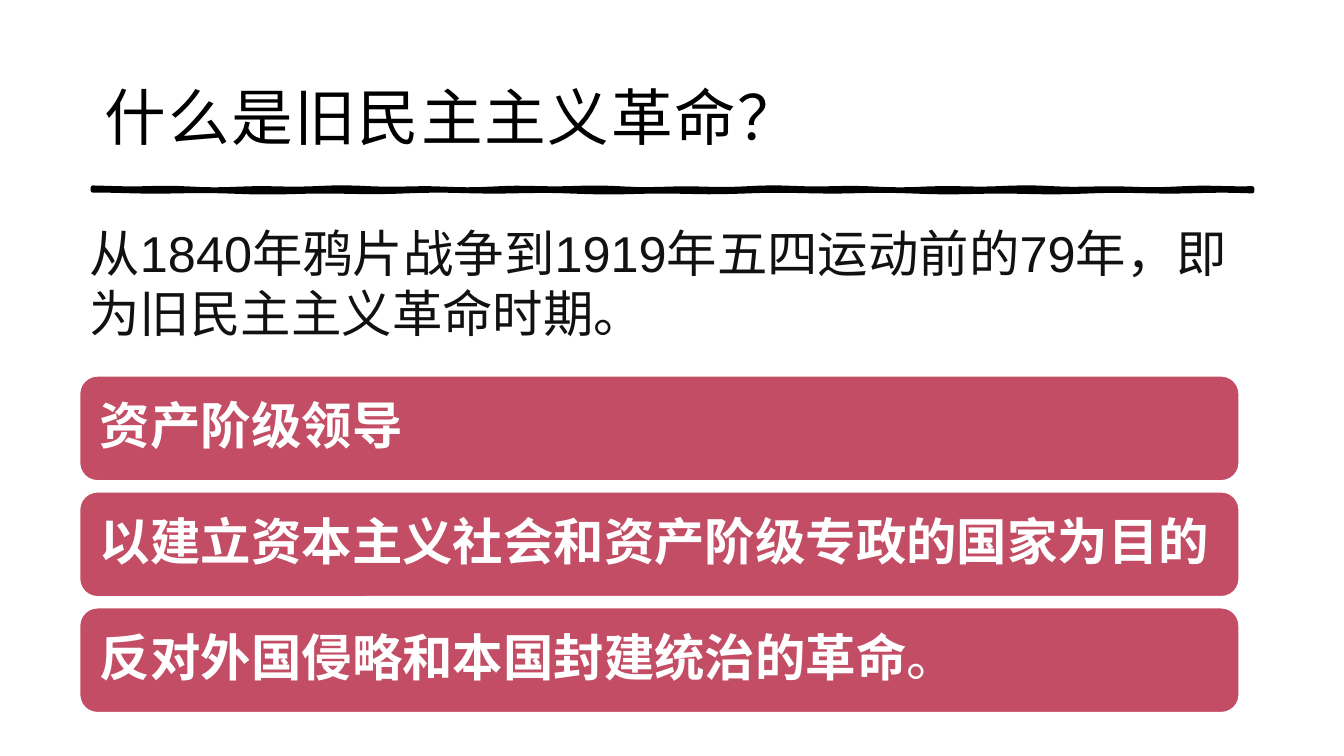
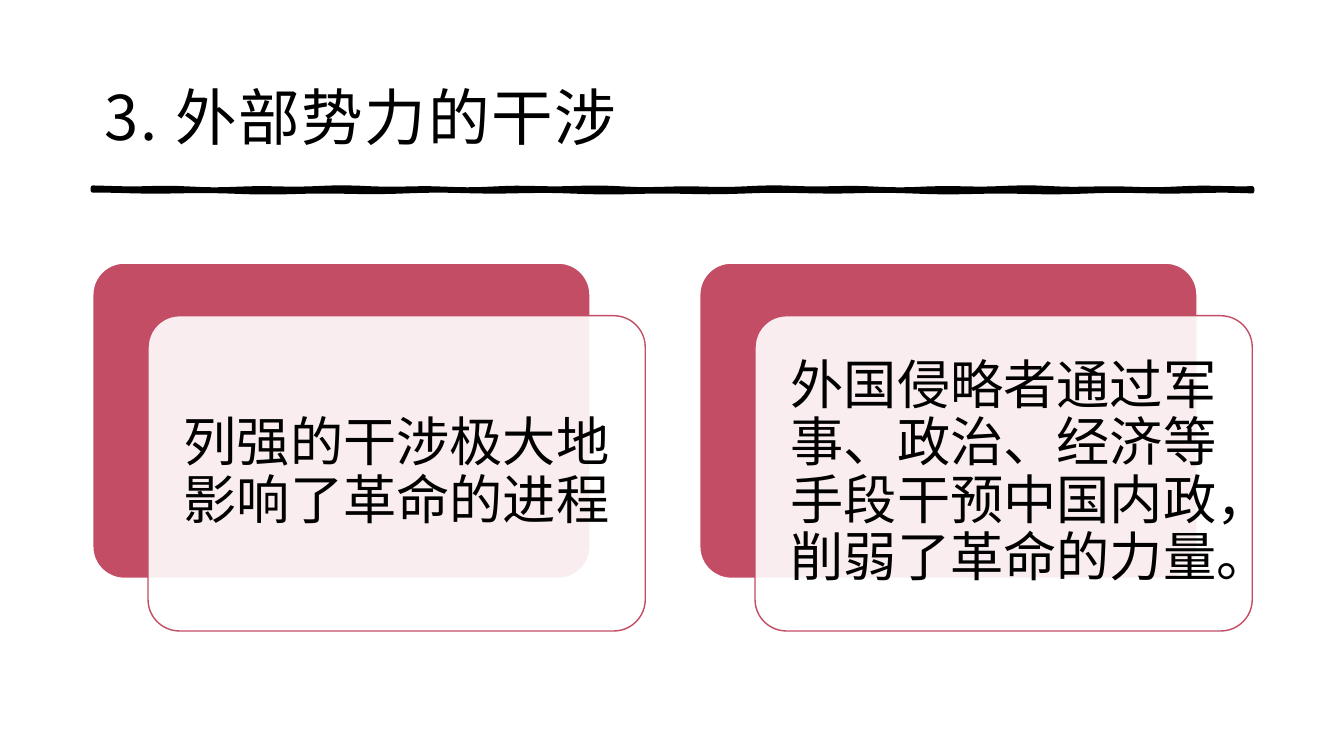
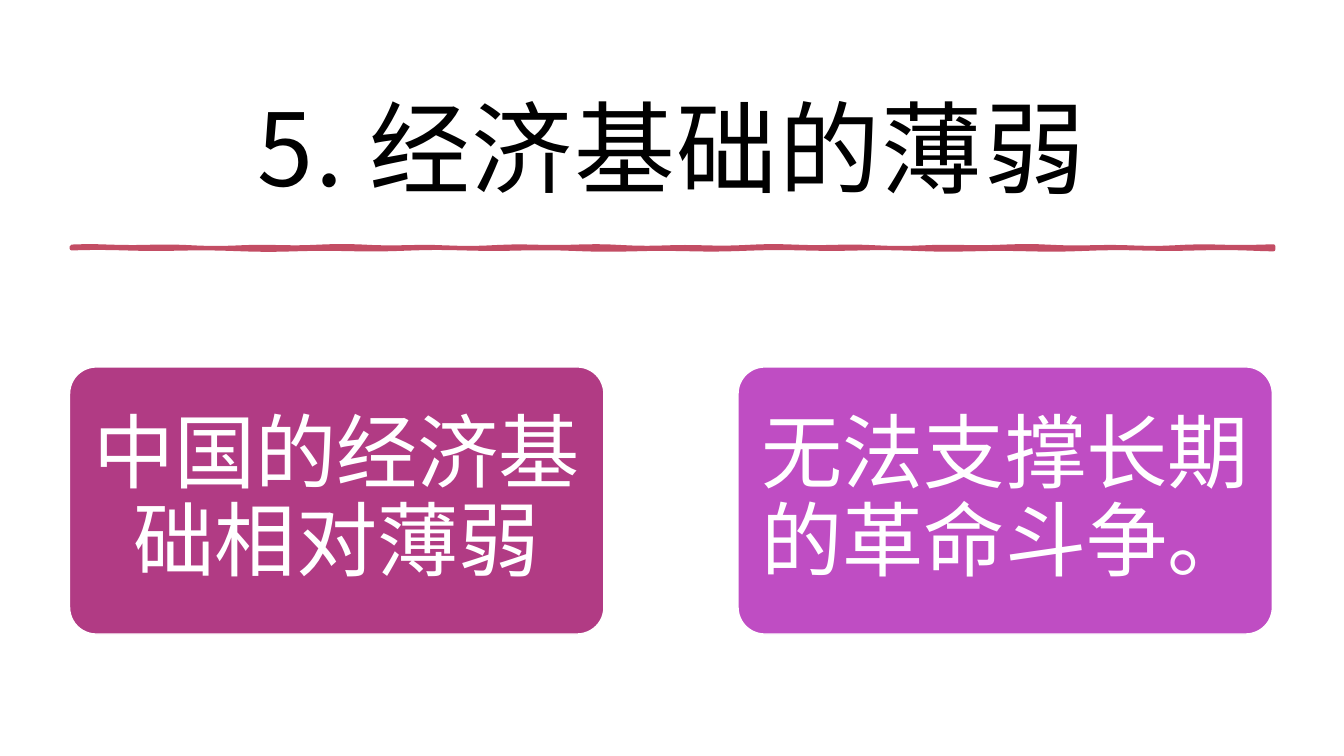
from math import sin

from lxml.etree import SubElement as Sub
from pptx import Presentation
from pptx.dml.color import RGBColor as RGB
from pptx.enum.shapes import MSO_SHAPE as Kind
from pptx.enum.text import MSO_ANCHOR as Anchor, MSO_AUTO_SIZE as Fit, PP_ALIGN as Align
from pptx.oxml.ns import qn
from pptx.util import Inches, Pt

# Shared look
BLACK = RGB(0x00, 0x00, 0x00)
INK = RGB(0x11, 0x11, 0x11)
WHITE = RGB(0xFF, 0xFF, 0xFF)
ROSE = RGB(0xC3, 0x4D, 0x64)
PLUM = RGB(0xB1, 0x3B, 0x84)
VIOLET = RGB(0xBF, 0x4D, 0xC3)
HAN = "Noto Sans CJK SC"
WIDE, HIGH = 13.33, 7.5
HEAD = (0.92, 0.4, 11.5, 1.45)


def place(shape, box):
    shape.left, shape.top, shape.width, shape.height = map(Inches, box)


def split(box, count, gap, down=False):
    """Cut a box into equal cells, side by side or stacked."""
    x, y, w, h = box
    size = ((h if down else w) - gap * (count - 1)) / count
    steps = [i * (size + gap) for i in range(count)]
    if down:
        return [(x, y + s, w, size) for s in steps]
    return [(x + s, y, size, h) for s in steps]


def style(run, size, color, bold=False, face=HAN, space=0):
    font = run.font
    font.name, font.size, font.bold = face, Pt(size), bold
    font.color.rgb = color
    props = run._r.get_or_add_rPr()
    Sub(props, qn("a:ea")).set("typeface", HAN)
    if space:
        props.set("spc", str(round(space * 100)))


def write(frame, text, size, color, align=Align.LEFT, lead=0.9,
          inset=(0.1, 0.05, 0.1, 0.05), anchor=Anchor.MIDDLE, **look):
    frame.word_wrap, frame.auto_size = True, Fit.NONE
    frame.vertical_anchor = anchor
    (frame.margin_left, frame.margin_top,
     frame.margin_right, frame.margin_bottom) = map(Inches, inset)
    para = frame.paragraphs[0]
    para.text, para.alignment, para.line_spacing = text, align, lead
    for run in para.runs:
        style(run, size, color, **look)
    return para


def panel(slide, box, fill, edge=WHITE, curve=0.1, alpha=None):
    """Rounded rectangle, optionally translucent."""
    shape = slide.shapes.add_shape(Kind.ROUNDED_RECTANGLE, *map(Inches, box))
    shape.shadow.inherit = False
    shape.adjustments[0] = curve
    shape.fill.solid()
    shape.fill.fore_color.rgb = fill
    if alpha:
        tint = shape._element.spPr.find(".//" + qn("a:srgbClr"))
        Sub(tint, qn("a:alpha")).set("val", str(alpha * 1000))
    shape.line.color.rgb = edge
    shape.line.width = Pt(1)
    return shape


def stroke(slide, box, color, weight):
    """Hand-drawn rule: a thin band with two uneven edges."""
    x, y, w, h = box
    count = 96
    xs = [x + w * i / count for i in range(count + 1)]
    top = [(a, y + 0.01 * sin(2.3 * a) * sin(5.1 * a)) for a in xs]
    low = [(a, y + h + 0.01 * sin(3.7 * a + 1) * sin(1.9 * a)) for a in xs]
    edge = [(Inches(a), Inches(b)) for a, b in top + low[::-1]]
    pen = slide.shapes.build_freeform(*edge[0])
    pen.add_line_segments(edge[1:], close=True)
    rule = pen.convert_to_shape()
    rule.shadow.inherit = False
    rule.fill.solid()
    rule.fill.fore_color.rgb = color
    rule.line.color.rgb = color
    rule.line.width = Pt(weight)


def start(deck, text, box=HEAD, size=44, align=Align.LEFT,
          rule=(0.92, 1.87, 11.5, 0.03), color=BLACK, weight=3):
    """New slide with its title and the rule below it."""
    slide = deck.slides.add_slide(deck.slide_layouts[5])
    title = slide.shapes.title
    place(title, box)
    write(title.text_frame, text, size, BLACK, align, 1.05,
          (0.12, 0.12, 0.12, 0.1), space=1.2)
    stroke(slide, rule, color, weight)
    return slide


def bars(slide, box, items):
    """Stacked bars; a closing full stop stays in regular weight."""
    for cell, text in zip(split(box, len(items), 0.11, down=True), items):
        bar = panel(slide, cell, ROSE, curve=0.17)
        body = text.rstrip("。")
        para = write(bar.text_frame, body, 36, WHITE, inset=(0.15,) * 4, bold=True)
        if body != text:
            stop = para.add_run()
            stop.text = "。"
            style(stop, 36, WHITE)


def cards(slide, box, items):
    """Pairs of a solid back panel and a pale front panel."""
    for (x, y, w, h), text in zip(split(box, len(items), 0.54), items):
        bw, bh = 0.9 * w, 0.857 * h
        panel(slide, (x, y, bw, bh), ROSE)
        front = panel(slide, (x + w - bw, y + h - bh, bw, bh), WHITE, ROSE, alpha=90)
        write(front.text_frame, text, 38, BLACK, Align.CENTER, inset=(0.16,) * 4)


def tiles(slide, box, items):
    """Row of large coloured tiles."""
    for cell, (text, fill) in zip(split(box, len(items), 1.33), items):
        tile = panel(slide, cell, fill)
        write(tile.text_frame, text, 58, WHITE, Align.CENTER,
              inset=(0.12, 0.08, 0.12, 0.08))


def main():
    deck = Presentation()
    deck.slide_width, deck.slide_height = Inches(WIDE), Inches(HIGH)

    # Definition
    slide = start(deck, "什么是旧民主主义革命？")
    bars(slide, (0.79, 3.73, 11.5, 3.34), [
        "资产阶级领导",
        "以建立资本主义社会和资产阶级专政的国家为目的",
        "反对外国侵略和本国封建统治的革命。",
    ])
    intro = slide.shapes.add_textbox(*map(Inches, (0.79, 2.15, 11.5, 1.31)))
    write(intro.text_frame,
          "从1840年鸦片战争到1919年五四运动前的79年，即为旧民主主义革命时期。",
          36, INK, lead=1.0, anchor=Anchor.TOP, face="Arial")

    # Foreign powers
    slide = start(deck, "3. 外部势力的干涉")
    cards(slide, (0.92, 2.61, 11.5, 3.65), [
        "列强的干涉极大地影响了革命的进程",
        "外国侵略者通过军事、政治、经济等手段干预中国内政，削弱了革命的力量。",
    ])

    # Economy
    slide = start(deck, "5. 经济基础的薄弱", (0.69, 0.69, 11.94, 1.44), 72,
                  Align.CENTER, (0.71, 2.45, 11.92, 0.02), ROSE, 2.75)
    tiles(slide, (0.69, 3.64, 11.93, 2.65), [
        ("中国的经济基础相对薄弱", PLUM),
        ("无法支撑长期的革命斗争。", VIOLET),
    ])

    deck.save("out.pptx")


if __name__ == "__main__":
    main()
